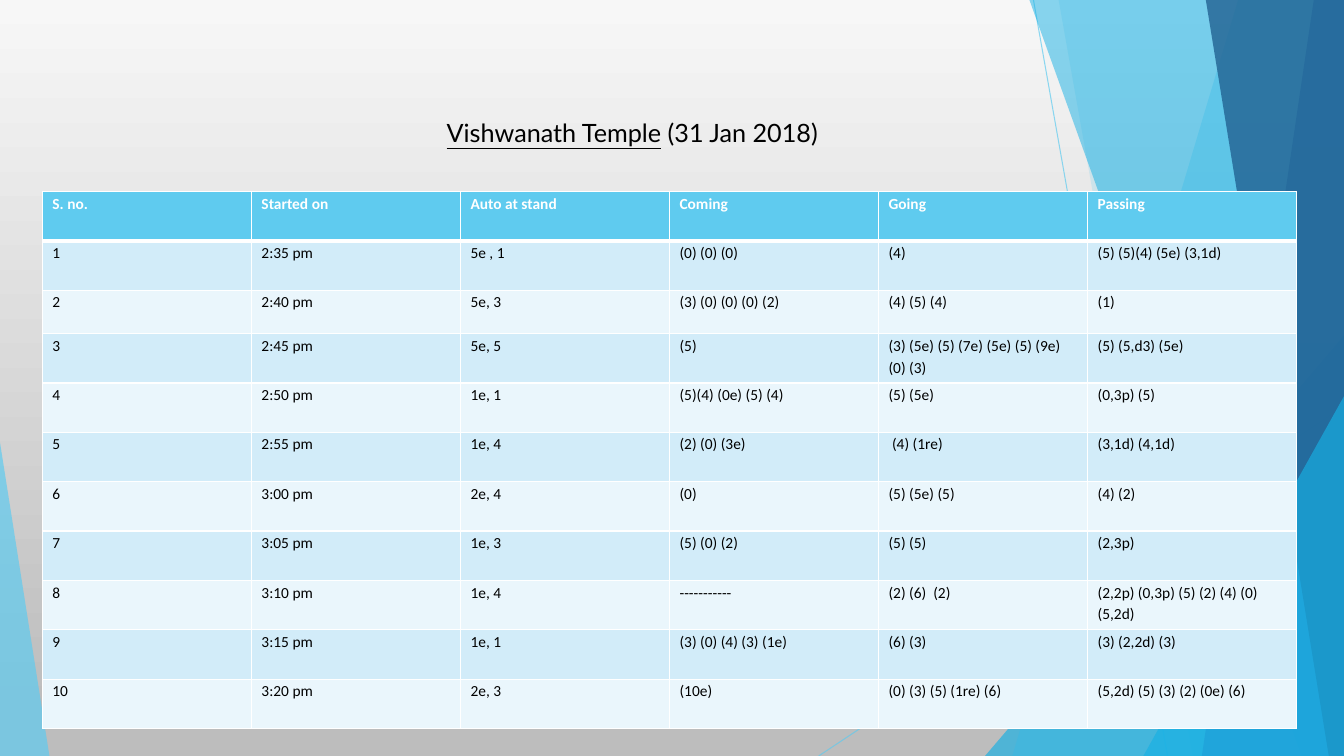
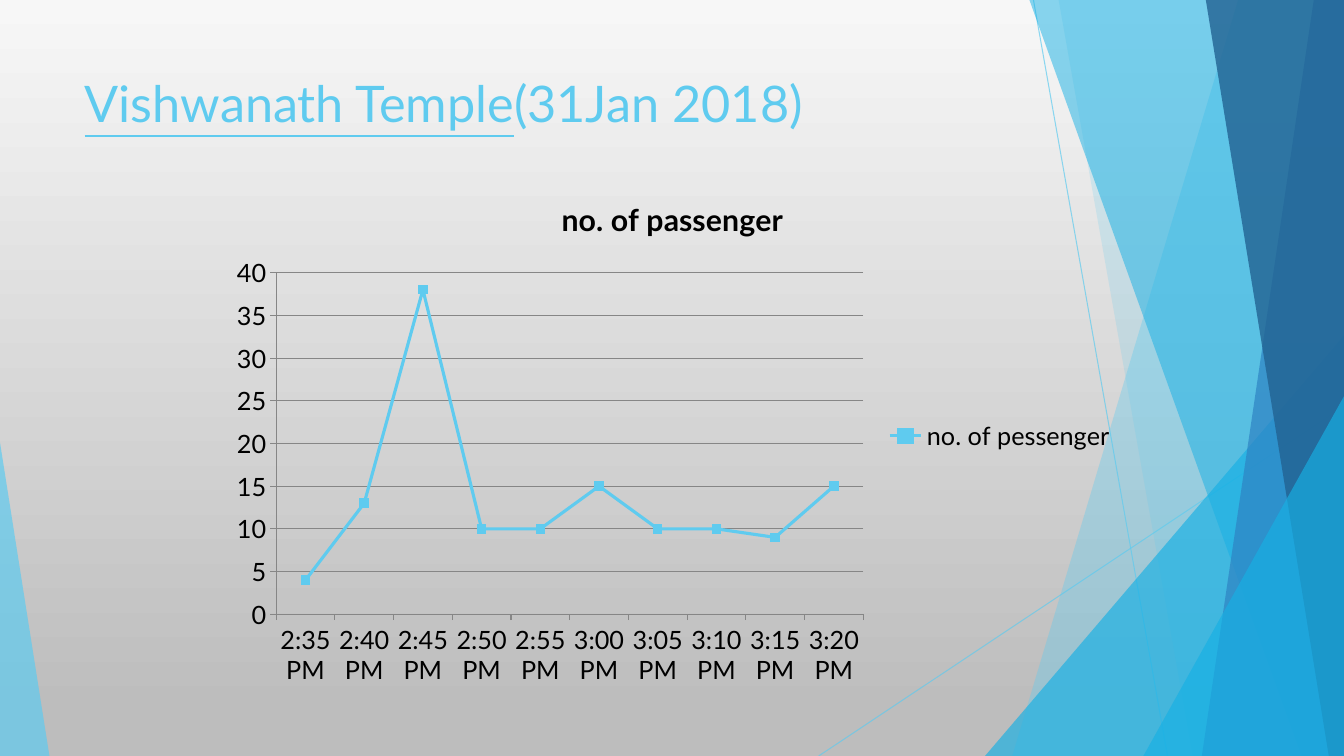
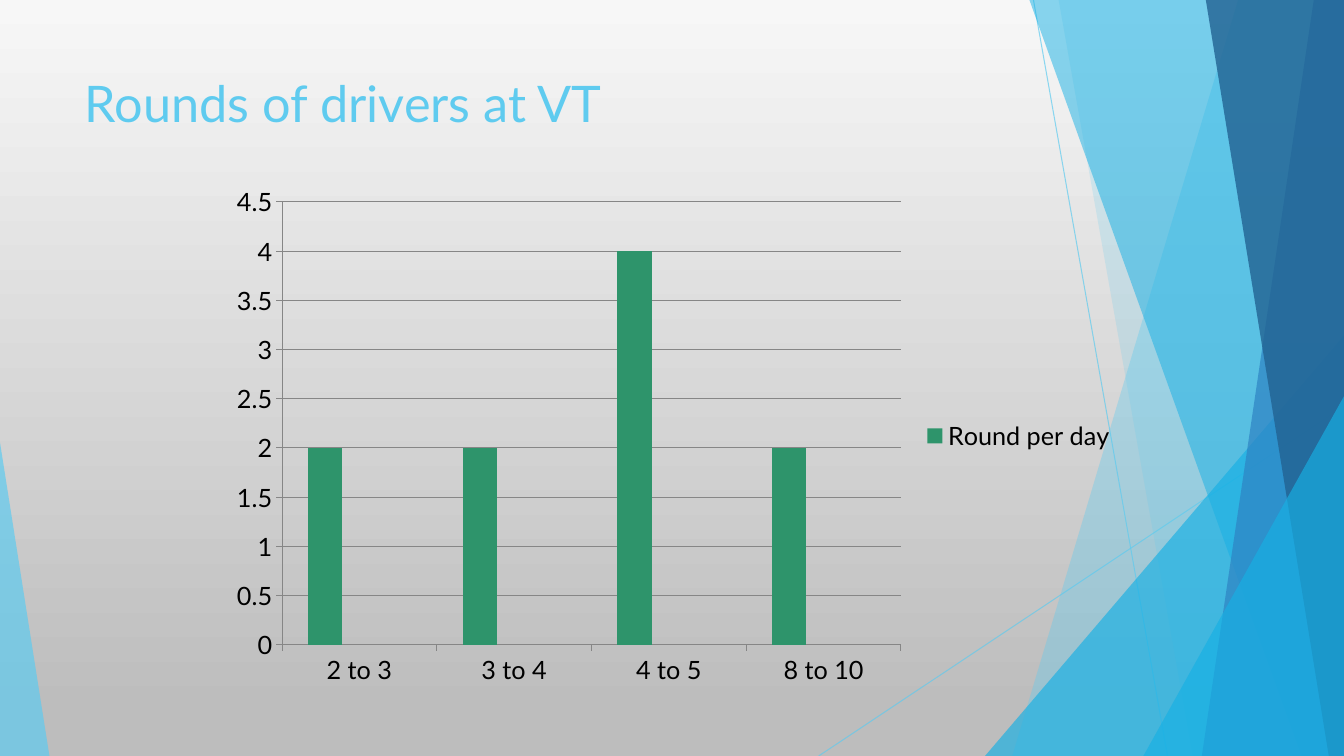
from pptx import Presentation
from pptx import util as u
from pptx.chart.data import CategoryChartData
from pptx.dml.color import RGBColor
from pptx.enum import chart as charts, shapes, text
from pptx.oxml import parse_xml
from pptx.oxml.ns import nsdecls
from pptx.oxml.xmlchemy import OxmlElement

COLORS = {
    "sky": "5FCBEF", "cyan": "17B0E4", "blue": "2E83C3", "navy": "226292",
    "green": "2E946B", "leaf": "42B051", "lime": "96D141",
    "row_dark": "D2ECF9", "row_light": "EAF6FC", "grid": "868686",
    "white": "FFFFFF", "black": "000000", "bg_top": "F7F7F7", "bg_end": "BDBDBD",
}
FONT, TABLE_FONT = "Lato", "Calibri"
WIDTH, HEIGHT = 13.33, 7.5
CHART_BOX = (2.17, 1.75, 9, 5.15)

# Facets from back to front: outline or triangle box, colour, opacity in percent
FACETS = [
    ("outline", [(12.28, 0), (WIDTH, 0), (WIDTH, HEIGHT), (10.04, HEIGHT)], "sky", 36),
    ("outline", [(10.5, 0), (WIDTH, 0), (WIDTH, HEIGHT), (11.83, HEIGHT)], "sky", 20),
    ("right", (9.77, 3.33, 3.56, 4.17), "cyan", 66),
    ("outline", [(10.21, 0), (WIDTH, 0), (WIDTH, HEIGHT), (12.91, HEIGHT)], "cyan", 50),
    ("outline", [(13.03, 0), (WIDTH, 0), (WIDTH, HEIGHT), (11.92, HEIGHT)], "blue", 70),
    ("outline", [(11.96, 0), (WIDTH, 0), (WIDTH, HEIGHT), (13.18, HEIGHT)], "navy", 80),
    ("right", (11.34, 3.93, 1.99, 3.57), "cyan", 66),
    ("left", (0, 4.39, 0.49, 3.11), "sky", 70),
]
THIN_LINES = [((10.25, 0), (11.58, HEIGHT)), ((WIDTH, 4.03), (8.12, HEIGHT))]

TIMES = ["2:35", "2:40", "2:45", "2:50", "2:55", "3:00", "3:05", "3:10", "3:15", "3:20"]
HEADINGS = ["S. no.", "Started on", "Auto at stand", "Coming", "Going", "Passing"]
COUNTS = [
    ("5e , 1", "(0) (0) (0)", "(4)", "(5) (5)(4) (5e) (3,1d)"),
    ("5e, 3", "(3) (0) (0) (0) (2)", "(4) (5) (4)", "(1)"),
    ("5e, 5", "(5)", "(3) (5e) (5) (7e) (5e) (5) (9e) (0) (3)", "(5) (5,d3) (5e)"),
    ("1e, 1", "(5)(4) (0e) (5) (4)", "(5) (5e)", "(0,3p) (5)"),
    ("1e, 4", "(2) (0) (3e)", " (4) (1re)", "(3,1d) (4,1d)"),
    ("2e, 4", "(0)", "(5) (5e) (5)", "(4) (2)"),
    ("1e, 3", "(5) (0) (2)", "(5) (5)", "(2,3p)"),
    ("1e, 4", "-----------", "(2) (6)  (2)", "(2,2p) (0,3p) (5) (2) (4) (0) (5,2d)"),
    ("1e, 1", "(3) (0) (4) (3) (1e)", "(6) (3)", "(3) (2,2d) (3)"),
    ("2e, 3", "(10e)", "(0) (3) (5) (1re) (6)", "(5,2d) (5) (3) (2) (0e) (6)"),
]


def rgb(name):
    return RGBColor.from_string(COLORS[name])


def inches(values):
    return [u.Inches(value) for value in values]


def style_font(font, size, color="black", name=FONT, bold=False):
    font.size, font.name, font.bold = u.Pt(size), name, bold
    font.color.rgb = rgb(color)


def set_opacity(shape, percent):
    for color in shape._element.xpath(".//a:srgbClr"):
        alpha = OxmlElement("a:alpha")
        alpha.set("val", str(percent * 1000))
        color.append(alpha)


def add_facet(page, kind, geometry, color, opacity):
    if kind == "outline":
        points = [inches(point) for point in geometry]
        builder = page.shapes.build_freeform(*points[0])
        builder.add_line_segments(points[1:])
        facet = builder.convert_to_shape()
    else:
        facet = page.shapes.add_shape(shapes.MSO_SHAPE.ISOSCELES_TRIANGLE, *inches(geometry))
        facet.adjustments[0] = 1 if kind == "right" else 0
    facet.shadow.inherit = False
    facet.fill.solid()
    facet.fill.fore_color.rgb = rgb(color)
    facet.line.fill.background()
    set_opacity(facet, opacity)
    return facet


def add_thin_line(page, start, end):
    line = page.shapes.add_connector(
        shapes.MSO_CONNECTOR.STRAIGHT, *inches(start), *inches(end))
    line.line.width = u.Pt(0.75)
    line.line.color.rgb = rgb("sky")
    line._element.spPr.append(OxmlElement("a:effectLst"))
    set_opacity(line, 70)
    return line


def decorate_master(deck, page):
    """Draw the facets on a page, then move them to the master behind its placeholders."""
    master = deck.slide_master
    fill = master.background.fill
    fill.gradient()
    fill.gradient_angle = 270
    for stop, color, position in zip(fill.gradient_stops, ("bg_top", "bg_end"), (0, 0.94)):
        stop.color.rgb = rgb(color)
        stop.position = position
    drawn = [add_thin_line(page, *ends) for ends in THIN_LINES]
    drawn += [add_facet(page, *facet) for facet in FACETS]
    for index, shape in enumerate(drawn):
        shape._element.xpath(".//p:cNvPr")[0].set("id", str(100 + index))
        master.shapes._spTree.insert(2 + index, shape._element)


def add_page(deck):
    return deck.slides.add_slide(deck.slide_layouts[5])


def set_title(page, underlined, plain, box=(0.74, 0.67, 9.4, 1.44), size=36, color="sky"):
    title = page.shapes.title
    title.left, title.top, title.width, title.height = inches(box)
    frame = title.text_frame
    frame.word_wrap = True
    frame.auto_size = text.MSO_AUTO_SIZE.NONE
    frame.vertical_anchor = text.MSO_ANCHOR.TOP
    para = frame.paragraphs[0]
    para.alignment = text.PP_ALIGN.LEFT
    for words, underline in ((underlined, True), (plain, False)):
        if words:
            span = para.add_run()
            span.text = words
            style_font(span.font, size, color)
            span.font.underline = underline


def set_borders(cell, widths):
    """Give white borders; widths are points for left, right, top and bottom."""
    for index, (side, width) in enumerate(zip("LRTB", widths)):
        cell._tc.get_or_add_tcPr().insert(index, parse_xml(
            f'<a:ln{side} {nsdecls("a")} w="{u.Pt(width)}"><a:solidFill>'
            f'<a:srgbClr val="{COLORS["white"]}"/></a:solidFill></a:ln{side}>'))


def fill_cell(cell, words, row):
    cell.text = words
    cell.margin_left = cell.margin_right = u.Inches(0.1)
    cell.margin_top = cell.margin_bottom = 0
    para = cell.text_frame.paragraphs[0]
    para.line_spacing = 1.15
    header = row == 0
    style_font(para.runs[0].font, 11, "white" if header else "black", TABLE_FONT, header)
    cell.fill.solid()
    cell.fill.fore_color.rgb = rgb(
        "sky" if header else "row_dark" if row % 2 else "row_light")
    set_borders(cell, (1, 1, 3 if row == 1 else 1, 3 if header else 1))


def add_count_table(page):
    rows = [HEADINGS] + [
        (str(number), f"{time} pm", *counts)
        for number, (time, counts) in enumerate(zip(TIMES, COUNTS), 1)]
    table = page.shapes.add_table(
        len(rows), len(HEADINGS), *inches((0.42, 1.9, 12.44, 5.36))).table
    for row, values in enumerate(rows):
        table.rows[row].height = u.Inches(0.43 if row == 2 else 0.49)
        for column, words in enumerate(values):
            fill_cell(table.cell(row, column), words, row)


def style_axes(chart, maximum, step):
    value_axis = chart.value_axis
    value_axis.minimum_scale, value_axis.maximum_scale = 0, maximum
    value_axis.major_unit = step
    value_axis.has_major_gridlines = True
    for axis in (chart.category_axis, value_axis):
        axis.major_tick_mark = charts.XL_TICK_MARK.OUTSIDE
        style_font(axis.tick_labels.font, 18)
    for item in (chart.category_axis, value_axis, value_axis.major_gridlines):
        item.format.line.color.rgb = rgb("grid")
        item.format.line.width = u.Pt(0.75)


def add_chart(page, kind, categories, series, maximum, step):
    data = CategoryChartData()
    data.categories = categories
    for name, values in series:
        data.add_series(name, values)
    chart = page.shapes.add_chart(kind, *inches(CHART_BOX), data).chart
    style_font(chart.font, 18)
    chart.has_title = False
    chart.has_legend = True
    chart.legend.position = charts.XL_LEGEND_POSITION.RIGHT
    chart.legend.include_in_layout = False
    style_font(chart.legend.font, 18)
    chart.plots[0].vary_by_categories = False
    style_axes(chart, maximum, step)
    return chart


def add_passenger_chart(page):
    chart = add_chart(
        page, charts.XL_CHART_TYPE.LINE_MARKERS, [f"{time} PM" for time in TIMES],
        [("no. of pessenger", (4, 13, 38, 10, 10, 15, 10, 10, 9, 15))], 40, 5)
    chart.has_title = True
    chart.chart_title.include_in_layout = False
    frame = chart.chart_title.text_frame
    frame.text = "no. of passenger"
    style_font(frame.paragraphs[0].runs[0].font, 21.6, bold=True)
    line = chart.plots[0].series[0]
    line.smooth = False
    line.format.line.color.rgb = rgb("sky")
    line.format.line.width = u.Pt(2.25)
    line.marker.style = charts.XL_MARKER_STYLE.SQUARE
    line.marker.size = 6
    line.marker.format.fill.solid()
    line.marker.format.fill.fore_color.rgb = rgb("sky")
    line.marker.format.line.color.rgb = rgb("sky")


def hide_legend_entries(chart, indexes):
    position = chart.legend._element.find("{*}legendPos")
    for index in reversed(indexes):
        position.addnext(parse_xml(
            f'<c:legendEntry {nsdecls("c")}><c:idx val="{index}"/>'
            '<c:delete val="1"/></c:legendEntry>'))


def add_rounds_chart(page):
    empty = (None,) * 4
    chart = add_chart(
        page, charts.XL_CHART_TYPE.COLUMN_CLUSTERED,
        ["2 to 3", "3 to 4", "4 to 5", "8 to 10"],
        [("Round per day", (2, 2, 4, 2)), ("Series 2", empty), ("Series 3", empty)], 4.5, 0.5)
    plot = chart.plots[0]
    plot.gap_width = 150
    for column, color in zip(plot.series, ("green", "leaf", "lime")):
        column.format.fill.solid()
        column.format.fill.fore_color.rgb = rgb(color)
    hide_legend_entries(chart, [1, 2])


def main():
    deck = Presentation()
    deck.slide_width, deck.slide_height = inches((WIDTH, HEIGHT))

    page = add_page(deck)
    decorate_master(deck, page)
    set_title(page, "Vishwanath Temple", " (31 Jan 2018)", (4.33, 1.11, 3.98, 0.4), 18, "black")
    add_count_table(page)

    page = add_page(deck)
    set_title(page, "Vishwanath Temple", "(31Jan 2018)")
    add_passenger_chart(page)

    page = add_page(deck)
    set_title(page, "", "Rounds of drivers at VT")
    add_rounds_chart(page)

    deck.save("out.pptx")


if __name__ == "__main__":
    main()
